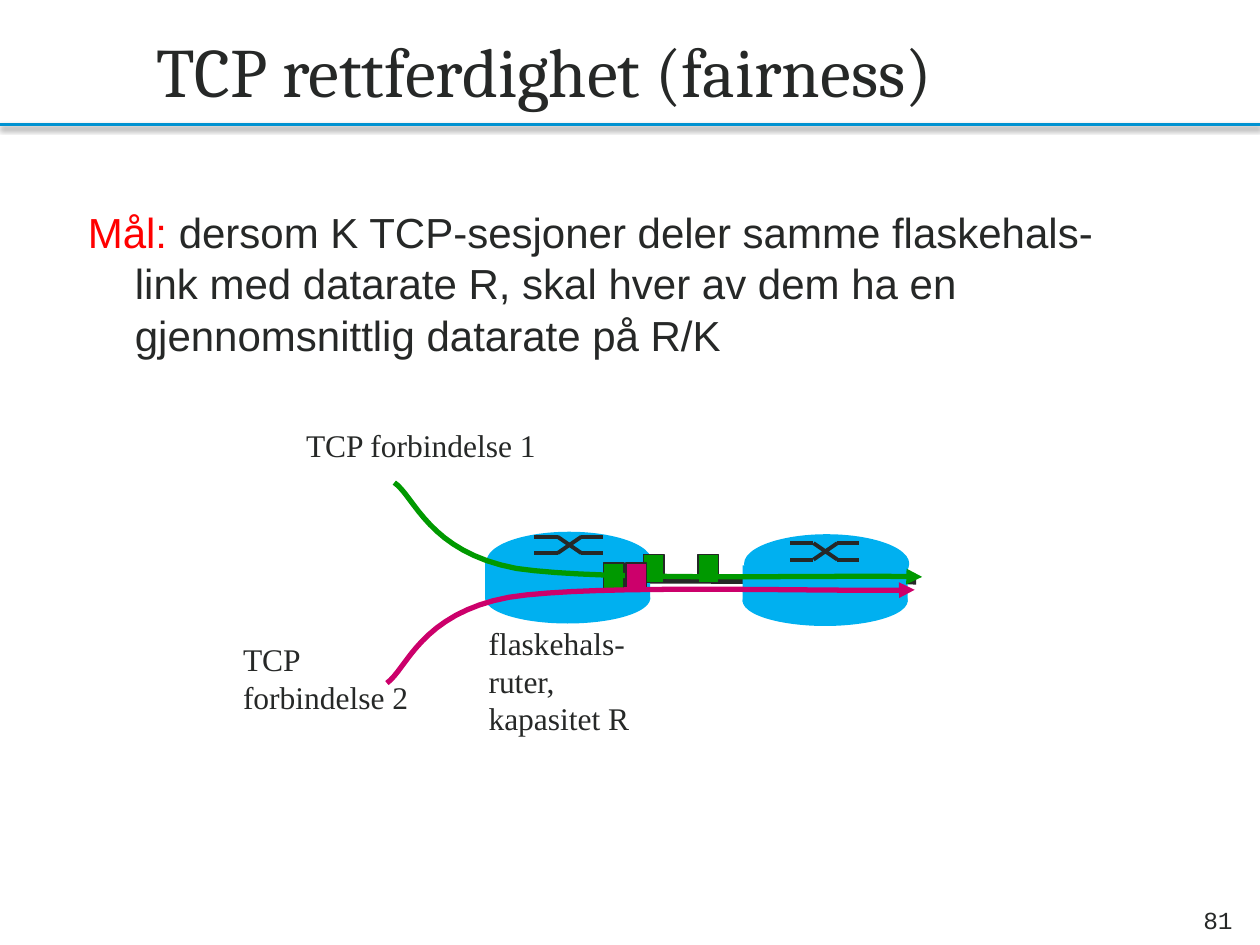
from dataclasses import dataclass

from lxml.etree import SubElement
from pptx import Presentation
from pptx.dml.color import RGBColor
from pptx.enum.shapes import MSO_CONNECTOR, MSO_SHAPE
from pptx.enum.text import MSO_ANCHOR, PP_ALIGN
from pptx.oxml.ns import qn
from pptx.util import Cm, Pt


@dataclass(frozen=True)
class Theme:
    """Colours, fonts and type sizes of the slide."""
    ink: str = "262827"
    rule: str = "0092D1"
    accent: str = "FF0000"
    router: str = "00B0F0"
    first: str = "009900"
    second: str = "CC006B"
    shadow: str = "000000"
    title_font: str = "Cambria"
    body_font: str = "Arial"
    label_font: str = "Times New Roman"
    number_font: str = "Courier New"
    title_size: float = 39.6
    body_size: float = 24
    label_size: float = 18
    number_size: float = 14


def bezier(p0, p1, p2, p3, steps=16):
    """Return the points after p0 along a cubic Bézier curve."""
    points = []
    for i in range(1, steps + 1):
        t = i / steps
        weights = ((1 - t) ** 3, 3 * t * (1 - t) ** 2, 3 * t * t * (1 - t), t ** 3)
        points.append(tuple(sum(w * p[axis] for w, p in zip(weights, (p0, p1, p2, p3)))
                            for axis in (0, 1)))
    return points


class Deck:
    """Hold the theme and the current slide; lengths are in centimetres."""

    def __init__(self, theme):
        """Start a presentation with one title-only slide."""
        self.theme = theme
        self.prs = Presentation()
        self.prs.slide_width, self.prs.slide_height = Cm(25.4), Cm(19.05)
        self.s = self.prs.slides.add_slide(self.prs.slide_layouts[5])

    def font(self, p, name, size, color=None):
        """Set the font of a paragraph."""
        p.font.name, p.font.size = name, Pt(size)
        p.font.color.rgb = RGBColor.from_string(color or self.theme.ink)

    def title(self, text, x, y, w, h):
        """Move, fill and format the title placeholder."""
        sp = self.s.shapes.title
        sp.left, sp.top, sp.width, sp.height = Cm(x), Cm(y), Cm(w), Cm(h)
        tf = sp.text_frame
        tf.text = text
        tf.vertical_anchor = MSO_ANCHOR.MIDDLE
        p = tf.paragraphs[0]
        p.alignment = PP_ALIGN.LEFT
        self.font(p, self.theme.title_font, self.theme.title_size)

    def text(self, lines, x, y, w, h, name, size, align=PP_ALIGN.LEFT,
             anchor=MSO_ANCHOR.TOP):
        """Add a text box with one paragraph per line."""
        tf = self.s.shapes.add_textbox(Cm(x), Cm(y), Cm(w), Cm(h)).text_frame
        tf.word_wrap = True
        tf.vertical_anchor = anchor
        tf.text = "\n".join(lines)
        for p in tf.paragraphs:
            p.alignment = align
            self.font(p, name, size)
        return tf

    def goal(self, lead, text, x, y, w, h):
        """Add a hanging paragraph with a coloured lead word."""
        tf = self.text([lead], x, y, w, h, self.theme.body_font, self.theme.body_size)
        p = tf.paragraphs[0]
        p.line_spacing = 1.03
        pPr = p._p.get_or_add_pPr()
        pPr.set("marL", str(Cm(0.95)))
        pPr.set("indent", str(Cm(-0.95)))
        p.runs[0].font.color.rgb = RGBColor.from_string(self.theme.accent)
        p.add_run().text = text

    def label(self, lines, x, y, w, h):
        """Add a diagram label."""
        self.text(lines, x, y, w, h, self.theme.label_font, self.theme.label_size)

    def line(self, x1, y1, x2, y2, width, color=None):
        """Add a straight line and return its effect list."""
        sp = self.s.shapes.add_connector(MSO_CONNECTOR.STRAIGHT,
                                         Cm(x1), Cm(y1), Cm(x2), Cm(y2))
        sp.line.width = Pt(width)
        sp.line.color.rgb = RGBColor.from_string(color or self.theme.ink)
        return SubElement(sp._element.spPr, qn("a:effectLst"))

    def rule(self, y):
        """Add the shadowed rule under the title."""
        effects = self.line(0, y, 25.4, y, 2, self.theme.rule)
        shadow = SubElement(effects, qn("a:outerShdw"), blurRad=str(Pt(3.1)),
                            dist=str(Pt(1.6)), dir="5400000", rotWithShape="0")
        color = SubElement(shadow, qn("a:srgbClr"), val=self.theme.shadow)
        SubElement(color, qn("a:alpha"), val="38000")

    def shape(self, kind, x, y, w, h, fill, outline=None):
        """Add a filled preset shape."""
        sp = self.s.shapes.add_shape(kind, Cm(x), Cm(y), Cm(w), Cm(h))
        sp.shadow.inherit = False
        sp.fill.solid()
        sp.fill.fore_color.rgb = RGBColor.from_string(fill)
        if outline:
            sp.line.color.rgb = RGBColor.from_string(outline)
            sp.line.width = Pt(0.75)
        else:
            sp.line.fill.background()

    def router(self, x, y, cross_x, cross_y):
        """Add a router cylinder with its crossed switching mark."""
        fill = self.theme.router
        self.shape(MSO_SHAPE.OVAL, x, y + 0.83, 3.33, 1.02, fill)
        self.shape(MSO_SHAPE.RECTANGLE, x, y + 0.63, 3.33, 0.74, fill)
        self.shape(MSO_SHAPE.OVAL, x + 0.03, y, 3.33, 1.19, fill)
        xs = [cross_x + dx for dx in (0, 0.47, 0.95, 1.38)]
        low, high = cross_y, cross_y + 0.33
        for start, end in ((low, high), (high, low)):
            ys = (start, start, end, end)
            for i in range(3):
                self.line(xs[i], ys[i], xs[i + 1], ys[i + 1], 2.25)

    def packet(self, x, y, fill):
        """Add one outlined packet."""
        self.shape(MSO_SHAPE.RECTANGLE, x, y, 0.41, 0.56, fill, self.theme.ink)

    def flow(self, points, color):
        """Add an arrow along two joined cubic curves."""
        track = bezier(*points[:4]) + bezier(*points[3:])
        builder = self.s.shapes.build_freeform(Cm(points[0][0]), Cm(points[0][1]))
        builder.add_line_segments([(Cm(x), Cm(y)) for x, y in track], close=False)
        sp = builder.convert_to_shape()
        sp.shadow.inherit = False
        sp.fill.background()
        sp.line.width = Pt(3)
        sp.line.color.rgb = RGBColor.from_string(color)
        SubElement(sp.line._get_or_add_ln(), qn("a:tailEnd"), type="triangle")


def main():
    """Build the fairness slide."""
    theme = Theme()
    d = Deck(theme)
    d.rule(2.51)
    d.title("TCP rettferdighet (fairness)", 2.9, 0.43, 20.17, 1.96)
    d.goal("Mål: ", "dersom K TCP-sesjoner deler samme flaskehals-link med datarate R, "
           "skal hver av dem ha en gjennomsnittlig datarate på R/K", 1.52, 4, 21.16, 6.1)

    d.line(13.08, 11.71, 18.47, 11.73, 3)
    d.router(9.78, 10.72, 10.77, 10.82)
    d.line(14.99, 11.53, 14.99, 12.17, 1)
    d.router(14.97, 10.77, 15.93, 10.95)
    for x, y in ((14.07, 11.18), (12.17, 11.35), (12.98, 11.18)):
        d.packet(x, y, theme.first)

    d.label(["TCP forbindelse 1"], 5.92, 8.46, 5.72, 1.02)
    d.label(["flaskehals-", "ruter,", "kapasitet R"], 9.6, 12.45, 3.86, 2.54)
    d.label(["TCP", "forbindelse 2"], 4.65, 12.78, 4.5, 1.78)

    d.flow([(7.95, 9.73), (8.36, 10.01), (8.64, 11.13), (10.41, 11.46),
            (12.19, 11.73), (16.89, 11.58), (18.59, 11.63)], theme.first)
    d.packet(12.62, 11.35, theme.second)
    d.flow([(7.8, 13.77), (8.2, 13.49), (8.48, 12.37), (10.26, 12.04),
            (12.01, 11.76), (16.74, 11.94), (18.44, 11.89)], theme.second)

    d.text(["81"], 22.71, 18.03, 2.39, 1.02, theme.number_font, theme.number_size,
           PP_ALIGN.RIGHT, MSO_ANCHOR.MIDDLE)
    d.prs.save("out.pptx")


if __name__ == "__main__":
    main()
